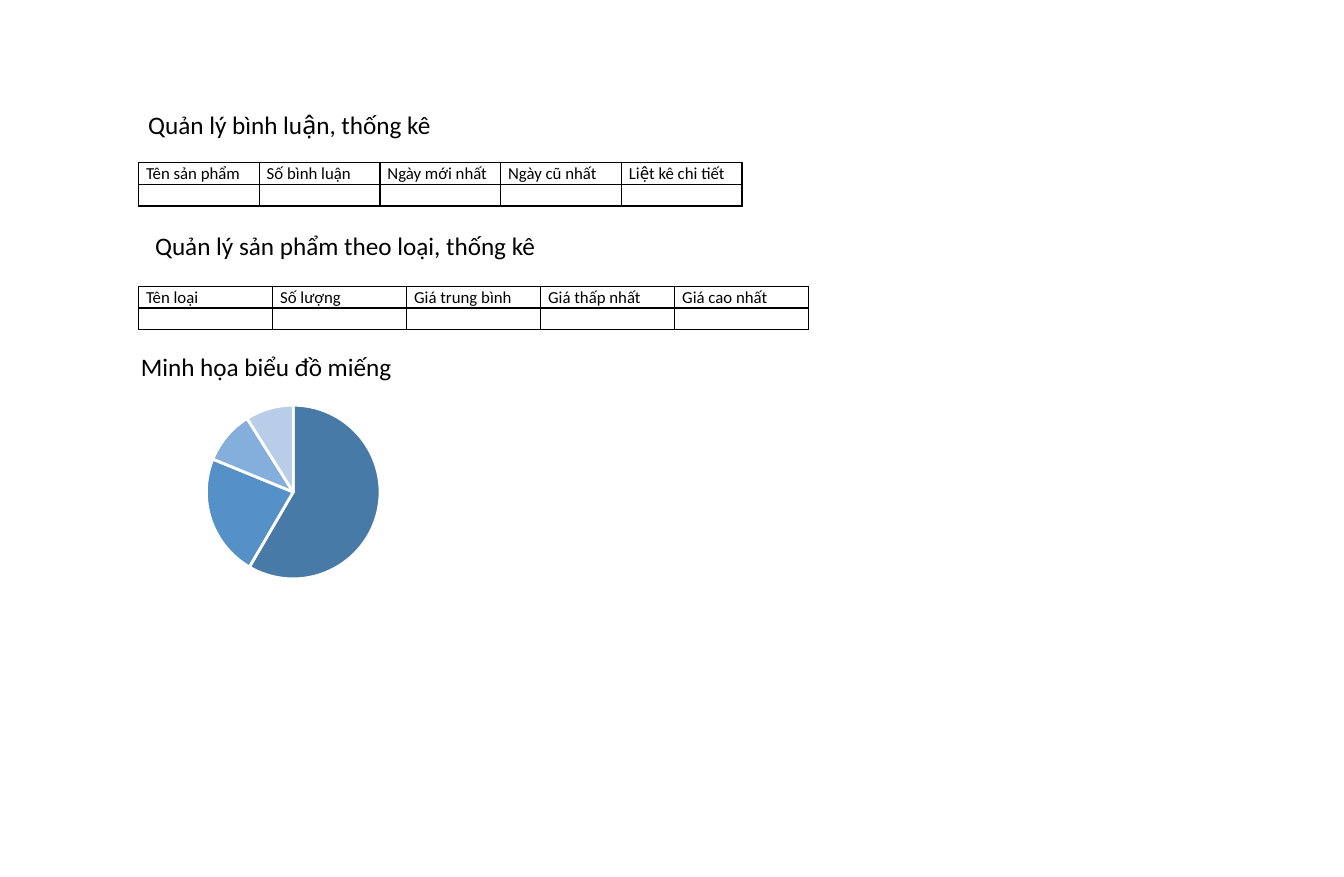
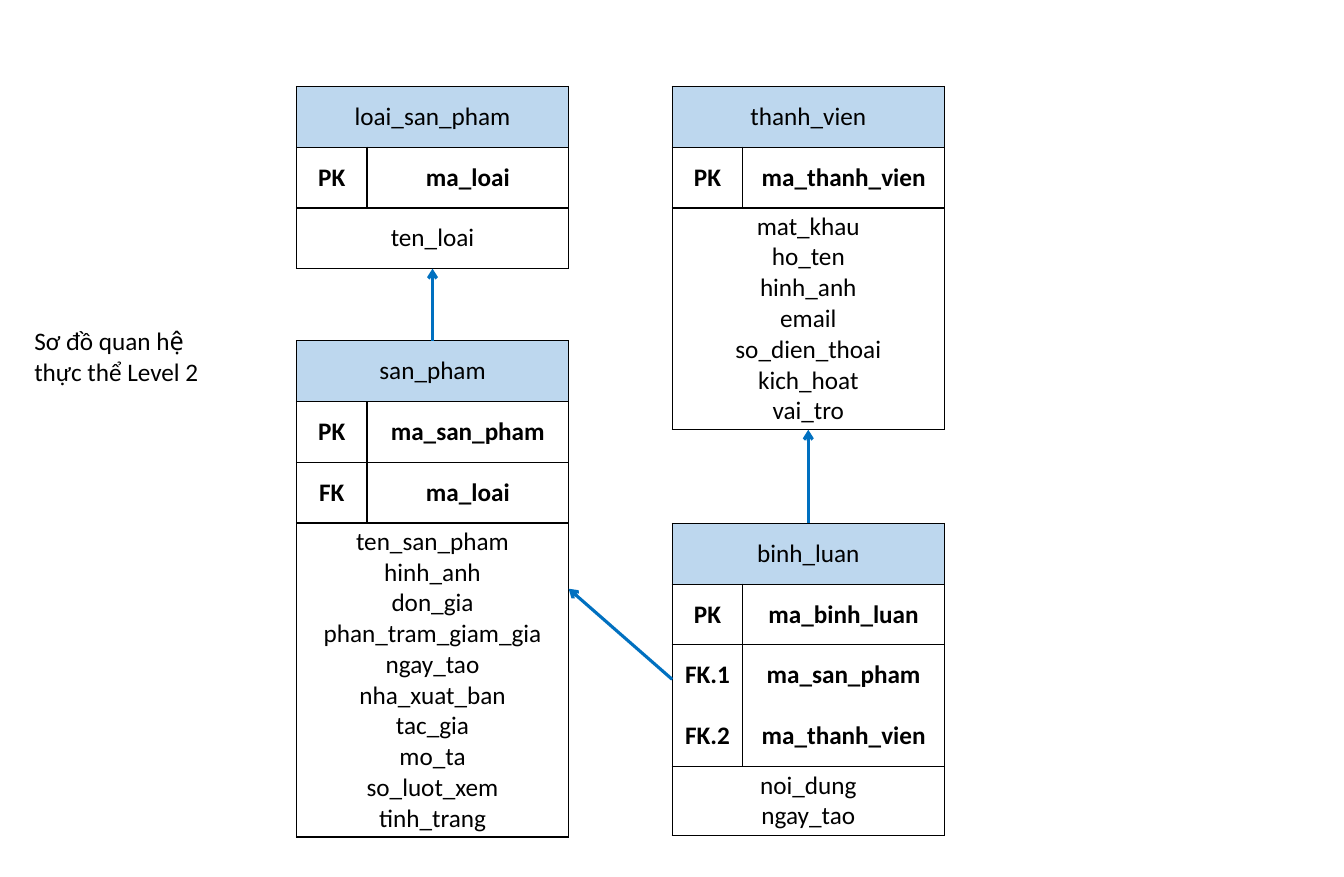
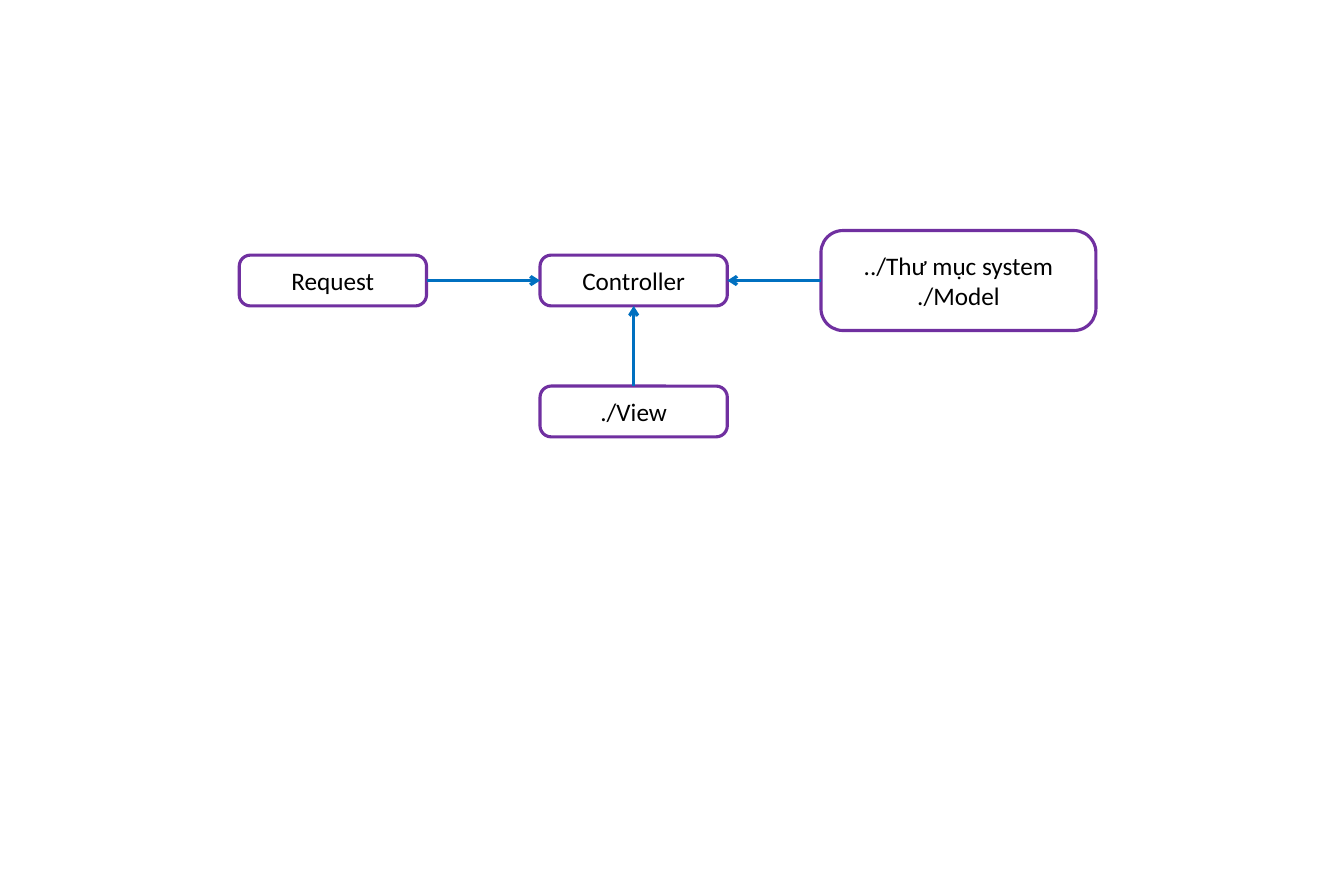
from dataclasses import dataclass

from lxml import etree
from pptx import Presentation
from pptx import util as u
from pptx.chart import data as chart_data
from pptx.dml import color
from pptx.enum import chart as charts, shapes, text
from pptx.oxml import ns

Cm, Pt = u.Cm, u.Pt


@dataclass(frozen=True)
class Theme:
    font: str = "Calibri"
    body: int = 18
    small: int = 12
    chart: int = 10
    ink: str = "000000"
    paper: str = "FFFFFF"
    header: str = "BDD7EE"
    arrow: str = "0070C0"
    outline: str = "7030A0"
    slices: tuple = ("487AA8", "5591C7", "84AEDC", "B8CDE8")
    border: float = 1
    slice_border: float = 2
    stroke: float = 2.25


THEME = Theme()


@dataclass(frozen=True)
class Box:
    """A region in centimetres."""
    left: float
    top: float
    width: float
    height: float

    def emu(self):
        return [Cm(n) for n in (self.left, self.top, self.width, self.height)]

    def edge(self, side):
        across, down = {"left": (0, 0.5), "right": (1, 0.5),
                        "top": (0.5, 0), "bottom": (0.5, 1)}[side]
        return self.left + across * self.width, self.top + down * self.height


# Shared helpers
def rgb(value):
    return color.RGBColor.from_string(value)


def set_font(font, size, bold=None):
    font.name, font.size, font.bold = THEME.font, Pt(size), bold
    font.color.rgb = rgb(THEME.ink)


def write(frame, lines, size=THEME.body, align=text.PP_ALIGN.LEFT, bold=False, spacing=None):
    frame.text = "\n".join(lines)
    for paragraph in frame.paragraphs:
        paragraph.alignment = align
        paragraph.line_spacing = spacing
        set_font(paragraph.font, size, bold)
        if not paragraph.runs:
            etree.SubElement(paragraph._p, ns.qn("a:endParaRPr"), sz=str(size * 100))


def add_heading(slide, box, words, is_title=False):
    shape = slide.shapes.title if is_title else slide.shapes.add_textbox(*box.emu())
    shape.left, shape.top, shape.width, shape.height = box.emu()
    frame = shape.text_frame
    frame.word_wrap = True
    frame.auto_size = text.MSO_AUTO_SIZE.NONE
    frame.vertical_anchor = text.MSO_ANCHOR.TOP
    write(frame, [words])


def add_arrow(slide, start, end):
    points = [Cm(n) for n in (*start, *end)]
    connector = slide.shapes.add_connector(shapes.MSO_CONNECTOR.STRAIGHT, *points)
    connector.line.color.rgb = rgb(THEME.arrow)
    connector.line.width = Pt(THEME.stroke)
    etree.SubElement(connector.line._get_or_add_ln(), ns.qn("a:tailEnd"), type="arrow")
    etree.SubElement(connector._element.spPr, ns.qn("a:effectLst"))


def style_cell(cell, fill=None, open_sides=""):
    properties = cell._tc.get_or_add_tcPr()
    for side in "LRTB":
        line = etree.SubElement(properties, ns.qn("a:ln" + side), w=str(Pt(THEME.border)))
        if side in open_sides:
            etree.SubElement(line, ns.qn("a:noFill"))
        else:
            solid = etree.SubElement(line, ns.qn("a:solidFill"))
            etree.SubElement(solid, ns.qn("a:srgbClr"), val=THEME.ink)
    if fill:
        cell.fill.solid()
        cell.fill.fore_color.rgb = rgb(fill)
    else:
        cell.fill.background()


def add_grid(slide, box, widths, heights):
    table = slide.shapes.add_table(len(heights), len(widths), *box.emu()).table
    table.first_row = table.horz_banding = False
    for column, width in zip(table.columns, widths):
        column.width = Cm(width)
    for row, height in zip(table.rows, heights):
        row.height = Cm(height)
    return table


# Report slide: column lists and a pie (tone marks are combining characters)
def add_column_list(slide, box, names):
    count = len(names)
    table = add_grid(slide, box, [box.width / count] * count, [box.height / 2] * 2)
    for index, cell in enumerate(table.iter_cells()):
        cell.margin_left = cell.margin_right = Cm(0.19)
        cell.margin_top = cell.margin_bottom = 0
        write(cell.text_frame, [names[index] if index < count else ""],
              THEME.small, spacing=1.07)
        style_cell(cell)


def add_pie(slide, box, values):
    data = chart_data.CategoryChartData()
    data.categories = [str(n) for n in range(1, len(values) + 1)]
    data.add_series("Series 1", values)
    chart = slide.shapes.add_chart(charts.XL_CHART_TYPE.PIE, *box.emu(), data).chart
    chart.has_title = chart.has_legend = False
    set_font(chart.font, THEME.chart)
    plot = chart.plots[0]
    plot.vary_by_categories = True
    for index, fill in enumerate(THEME.slices):
        look = plot.series[0].points[index].format
        look.fill.solid()
        look.fill.fore_color.rgb = rgb(fill)
        look.line.color.rgb = rgb(THEME.paper)
        look.line.width = Pt(THEME.slice_border)


def build_report(slide):
    add_heading(slide, Box(3.48, 2.62, 10.11, 1.02),
                "Qua\u0309n ly\u0301 bi\u0300nh lu\u00e2\u0323n, th\u00f4\u0301ng k\u00ea", True)
    add_column_list(slide, Box(3.49, 4.09, 15.21, 1.1),
                    ["T\u00ean sa\u0309n ph\u00e2\u0309m", "S\u1ed1 b\u00ecnh lu\u1eadn",
                     "Ng\u00e0y m\u1edbi nh\u1ea5t", "Ng\u00e0y c\u0169 nh\u1ea5t",
                     "Li\u00ea\u0323t k\u00ea chi ti\u00ea\u0301t"])
    add_heading(slide, Box(3.66, 5.69, 13.26, 1.02),
                "Qua\u0309n ly\u0301 sa\u0309n ph\u00e2\u0309m theo loa\u0323i, "
                "th\u00f4\u0301ng k\u00ea")
    add_column_list(slide, Box(3.49, 7.21, 16.89, 1.1),
                    ["T\u00ean loa\u0323i", "S\u1ed1 l\u01b0\u01a1\u0323ng",
                     "Gi\u00e1 trung b\u00ecnh", "Gi\u00e1 th\u1ea5p nh\u1ea5t",
                     "Gi\u00e1 cao nh\u1ea5t"])
    add_heading(slide, Box(3.3, 8.74, 7.8, 1.02),
                "Minh ho\u0323a bi\u00ea\u0309u \u0111\u00f4\u0300 mi\u00ea\u0301ng")
    add_pie(slide, Box(3.3, 9.86, 8.18, 5.08), [59, 23, 10, 9])


# Entity slide: one table per entity
KEY_WIDTH, NAME_WIDTH, ROW_HEIGHT, LINE_HEIGHT = 1.78, 5.08, 1.53, 0.77


def add_entity(slide, left, top, name, keys, attributes):
    heights = [ROW_HEIGHT] * (len(keys) + 1)
    heights.append(max(ROW_HEIGHT, LINE_HEIGHT * len(attributes) + 0.2))
    box = Box(left, top, KEY_WIDTH + NAME_WIDTH, sum(heights))
    table = add_grid(slide, box, [KEY_WIDTH, NAME_WIDTH], heights)
    rows = [([name],), *(([label], [field]) for label, field in keys), (attributes,)]
    foreign = [len(row) == 2 and row[0][0].startswith("FK") for row in rows]
    last = len(rows) - 1
    for index, row in enumerate(rows):
        if len(row) == 1:
            table.cell(index, 0).merge(table.cell(index, 1))
        # Neighbouring foreign keys share one open block
        open_sides = ""
        if foreign[index]:
            open_sides = "T" * foreign[index - 1] + "B" * foreign[index + 1]
        for column in range(2):
            cell = table.cell(index, column)
            cell.vertical_anchor = text.MSO_ANCHOR.MIDDLE
            cell.margin_top = cell.margin_bottom = Cm(0.08)
            style_cell(cell, THEME.header if index == 0 else None, open_sides)
            if column < len(row):
                write(cell.text_frame, row[column], align=text.PP_ALIGN.CENTER,
                      bold=0 < index < last)
    return box


def build_entities(slide):
    add_heading(slide, Box(0.61, 8.08, 5.26, 1.8),
                "S\u01a1 \u0111\u00f4\u0300 quan h\u00ea\u0323 "
                "th\u01b0\u0323c th\u00ea\u0309 Level 2", True)
    first, second = 7.47, 16.94
    category = add_entity(slide, first, 2.18, "loai_san_pham",
                          [("PK", "ma_loai")], ["ten_loai"])
    product = add_entity(slide, first, 8.59, "san_pham",
                         [("PK", "ma_san_pham"), ("FK", "ma_loai")],
                         ["ten_san_pham", "hinh_anh", "don_gia", "phan_tram_giam_gia",
                          "ngay_tao", "nha_xuat_ban", "tac_gia", "mo_ta",
                          "so_luot_xem", "tinh_trang"])
    member = add_entity(slide, second, 2.18, "thanh_vien", [("PK", "ma_thanh_vien")],
                        ["mat_khau", "ho_ten", "hinh_anh", "email",
                         "so_dien_thoai", "kich_hoat", "vai_tro"])
    comment = add_entity(slide, second, 13.19, "binh_luan",
                         [("PK", "ma_binh_luan"), ("FK.1", "ma_san_pham"),
                          ("FK.2", "ma_thanh_vien")], ["noi_dung", "ngay_tao"])
    add_arrow(slide, comment.edge("left"), product.edge("right"))
    add_arrow(slide, comment.edge("top"), member.edge("bottom"))
    add_arrow(slide, product.edge("top"), category.edge("bottom"))


# Flow slide: rounded steps around the controller
def add_step(slide, box, lines):
    shape = slide.shapes.add_shape(shapes.MSO_SHAPE.ROUNDED_RECTANGLE, *box.emu())
    shape.adjustments[0] = 0.22
    shape.shadow.inherit = False
    shape.fill.background()
    shape.line.color.rgb = rgb(THEME.outline)
    shape.line.width = Pt(THEME.stroke)
    shape.text_frame.vertical_anchor = text.MSO_ANCHOR.MIDDLE
    write(shape.text_frame, lines, align=text.PP_ALIGN.CENTER)


def build_flow(slide):
    width, height, top = 4.72, 1.28, 6.43
    request = Box(6.03, top, width, height)
    controller = Box(13.61, top, width, height)
    view = Box(13.61, 9.73, width, height)
    model = Box(20.69, 5.81, 6.93, 2.52)
    for box, lines in ((controller, ["Controller"]),
                       (model, ["../Th\u01b0 mu\u0323c system", "./Model"]),
                       (request, ["Request"]), (view, ["./View"])):
        add_step(slide, box, lines)
    add_arrow(slide, model.edge("left"), controller.edge("right"))
    add_arrow(slide, view.edge("top"), controller.edge("bottom"))
    add_arrow(slide, request.edge("right"), controller.edge("left"))


TITLE_ONLY, BLANK = 5, 6
presentation = Presentation()
presentation.slide_width, presentation.slide_height = Cm(33.87), Cm(22.1)
for build, layout in ((build_report, TITLE_ONLY), (build_entities, TITLE_ONLY),
                      (build_flow, BLANK)):
    build(presentation.slides.add_slide(presentation.slide_layouts[layout]))
presentation.save("out.pptx")
